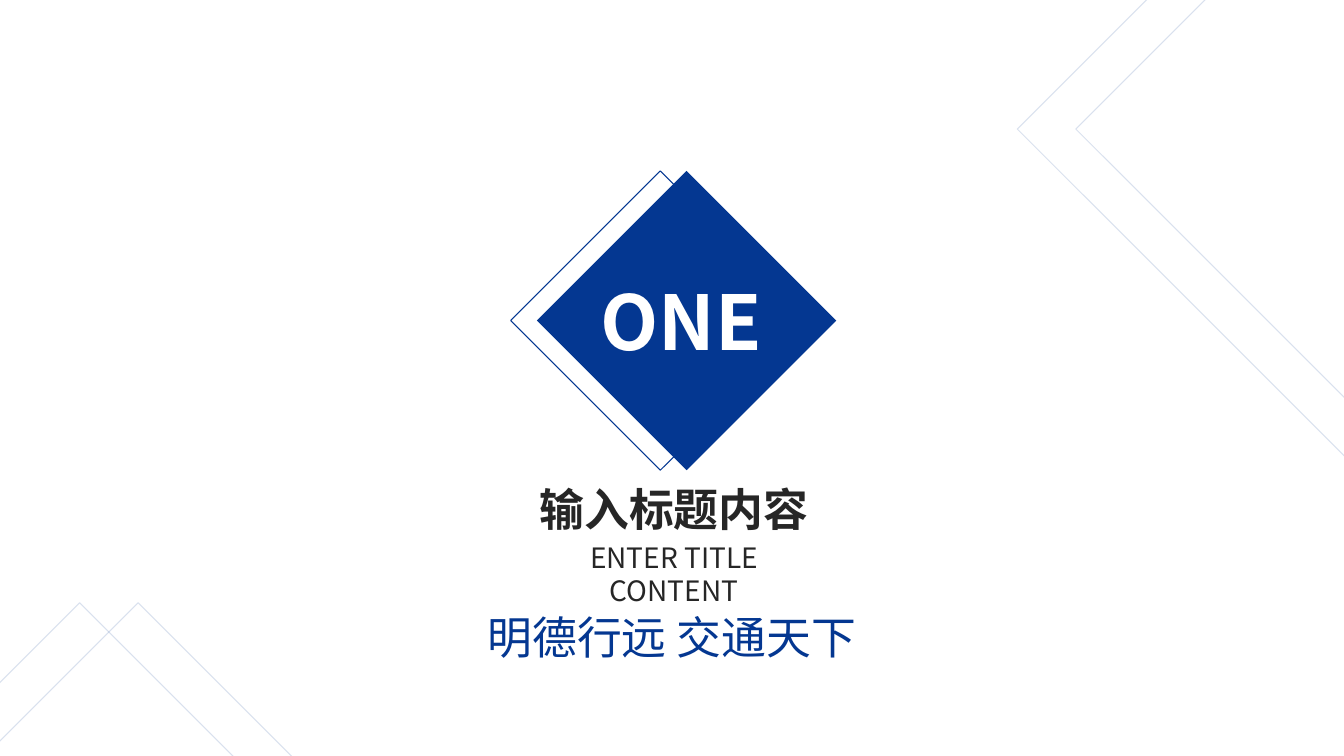
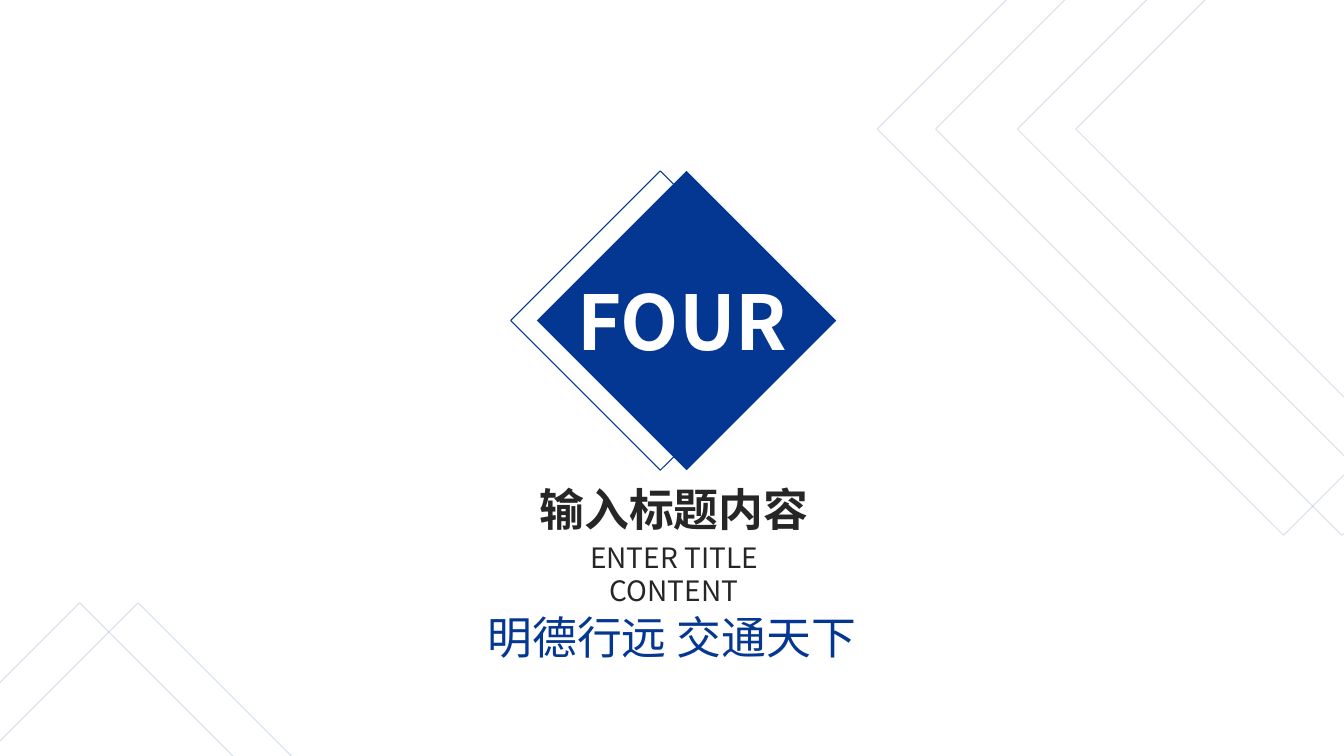
from lxml import etree
from pptx import Presentation
from pptx import util as u
from pptx.dml.color import RGBColor
from pptx.enum import shapes, text
from pptx.oxml.ns import qn

WIDTH, HEIGHT = 13.33, 7.5
FONT = "Noto Sans CJK SC"
BLUE, DARK, WHITE = "043791", "262626", "FFFFFF"
CENTER = WIDTH / 2
BADGE_SIDE, BADGE_SHIFT = 2.1, 0.26
FRAME_SIDE, FRAME_SHIFT = 5.7, 0.58
CORNER_FRAMES = [(11.27, -1.57), (-2.06, 7.16)]
EXTRA_FRAMES = [(9.88, -1.57)]
SECTIONS = [("ONE", CORNER_FRAMES), ("FOUR", CORNER_FRAMES + EXTRA_FRAMES)]


def color(value):
    """Turn a hex string into a colour."""
    return RGBColor.from_string(value)


def add_text(parent, box, content, size, ink, bold=False, wrap=True,
             align=text.PP_ALIGN.CENTER):
    """Add one line of styled text in a box of left, top, width, height."""
    sp = parent.add_textbox(*(u.Inches(v) for v in box))
    tf = sp.text_frame
    tf.word_wrap = wrap
    tf.text = content
    p = tf.paragraphs[0]
    p.alignment = align
    font = p.runs[0].font
    font.name, font.size, font.bold = FONT, u.Pt(size), bold
    font.color.rgb = color(ink)
    r_pr = p.runs[0].font._element
    etree.SubElement(r_pr, qn("a:ea")).set("typeface", FONT)


def add_diamond(parent, left, top, side, fill=None, opacity=None):
    """Add a square turned on its corner, either filled or outlined."""
    sp = parent.add_shape(shapes.MSO_SHAPE.RECTANGLE,
                          *(u.Inches(v) for v in (left, top, side, side)))
    sp.rotation = 315
    sp.shadow.inherit = False
    if fill:
        sp.fill.solid()
        sp.fill.fore_color.rgb = color(fill)
        sp.line.fill.background()
        return
    sp.fill.background()
    sp.line.width = u.Pt(0.75)
    sp.line.color.rgb = color(BLUE)
    if opacity:
        tint = sp.line._ln.find(".//" + qn("a:srgbClr"))
        etree.SubElement(tint, qn("a:alpha")).set("val", str(opacity * 1000))


def add_frames(s, left, top):
    """Add a pair of faint diamonds that run off the slide."""
    pair = s.shapes.add_group_shape().shapes
    for shift in (FRAME_SHIFT, 0):
        add_diamond(pair, left + shift, top, FRAME_SIDE, opacity=15)


def add_badge(s, left, top, number):
    """Add the outlined and filled diamonds with the section number."""
    pair = s.shapes.add_group_shape().shapes
    add_diamond(pair, left, top, BADGE_SIDE)
    add_diamond(pair, left + BADGE_SHIFT, top, BADGE_SIDE, fill=BLUE)
    middle = left + BADGE_SHIFT + BADGE_SIDE / 2
    width = {3: 1.9, 4: 2.36}[len(number)]
    add_text(s.shapes, (middle - width / 2, top + 0.55, width, 1.01), number,
             54, WHITE, bold=True, wrap=False, align=text.PP_ALIGN.LEFT)


def add_heading(s, middle, top):
    """Add the section title with its translation below."""
    pair = s.shapes.add_group_shape().shapes
    add_text(pair, (middle - 1.45, top, 2.9, 0.64), "输入标题内容",
             32, DARK, bold=True, wrap=False)
    add_text(pair, (middle - 1.5, top + 0.58, 3, 0.44), "ENTER TITLE CONTENT",
             20, DARK)


def add_section(prs, number, frames):
    """Add one section slide."""
    s = prs.slides.add_slide(prs.slide_layouts[6])
    s.background.fill.solid()
    s.background.fill.fore_color.rgb = color(WHITE)
    add_heading(s, CENTER + 0.02, 4.73)
    add_badge(s, 5.5, 2.13, number)
    for left, top in frames:
        add_frames(s, left, top)
    add_text(s.shapes, (WIDTH / 4, 6, WIDTH / 2, 0.64), "明德行远 交通天下",
             32, BLUE)


def main():
    """Build and save the presentation."""
    prs = Presentation()
    prs.slide_width, prs.slide_height = u.Inches(WIDTH), u.Inches(HEIGHT)
    for number, frames in SECTIONS:
        add_section(prs, number, frames)
    prs.save("out.pptx")


if __name__ == "__main__":
    main()
